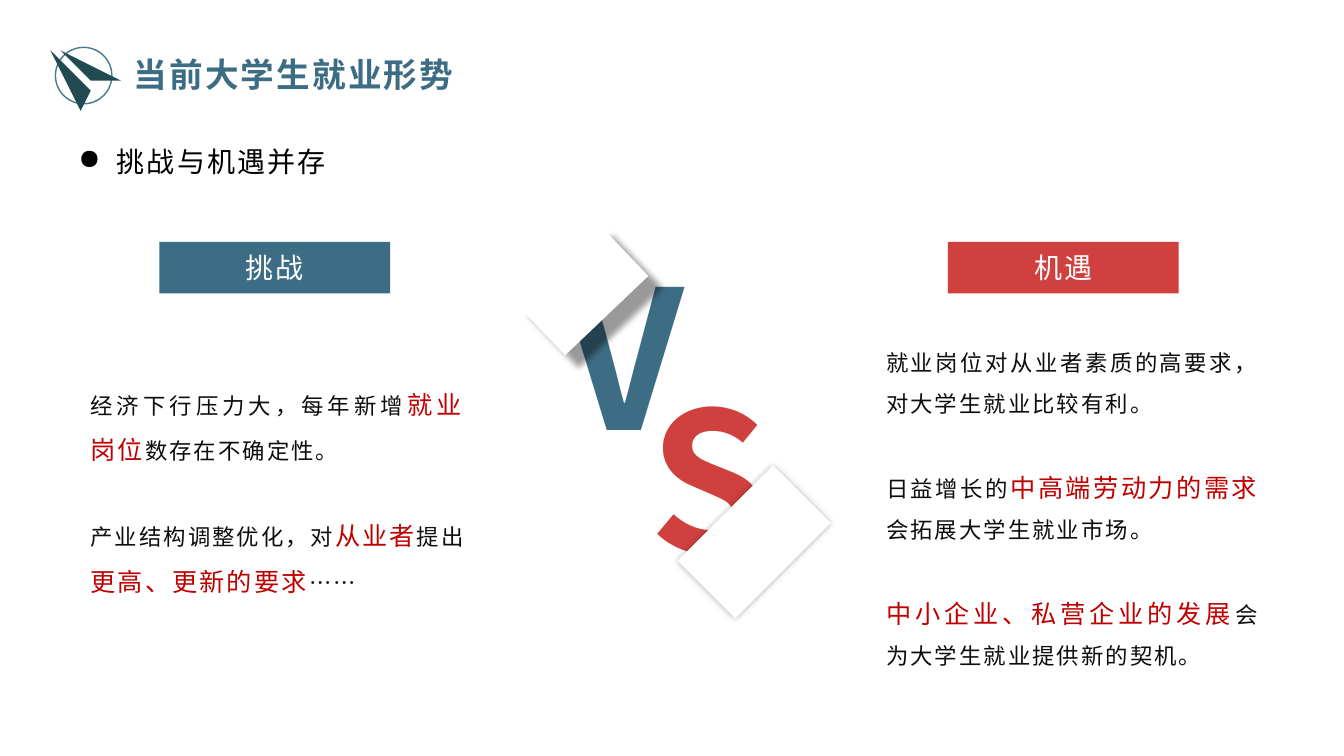
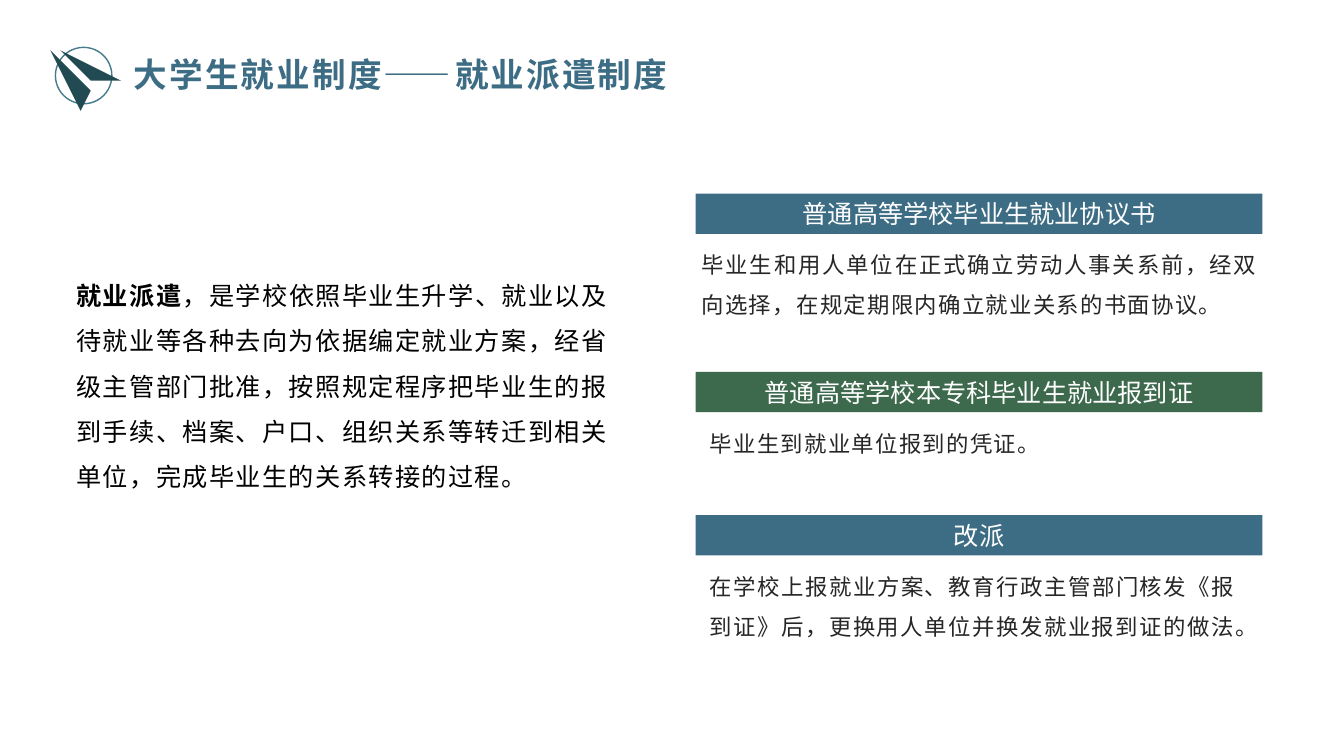
"""Build two slides on graduate employment: the current situation and the dispatch system."""
from dataclasses import dataclass
from typing import NamedTuple, Optional

from lxml import etree
from pptx import Presentation
from pptx import util as u
from pptx.dml.color import RGBColor
from pptx.enum import shapes, text
from pptx.oxml import ns

CELL = 0.1
FONT = "Noto Sans CJK SC"
BLUE, RED, GREEN, WHITE, BLACK = "3D6D84", "CF403E", "3D694D", "FFFFFF", "000000"
RING, PLANE, BODY, DETAIL, ACCENT = "467A8C", "224A52", "0D0D0D", "262626", "C00000"
PLANE_WINGS = (
    ((11.6, 7.6), (9.4, 8.5), (5.5, 4.6)),
    ((9.3, 8.7), (8.1, 11), (5.4, 4.7)),
)
LEFT, CENTER, JUSTIFY = text.PP_ALIGN.LEFT, text.PP_ALIGN.CENTER, text.PP_ALIGN.JUSTIFY
TOP, MIDDLE = text.MSO_ANCHOR.TOP, text.MSO_ANCHOR.MIDDLE


class Place(NamedTuple):
    """A rectangle in grid columns and rows."""
    column: float
    row: float
    columns: float
    rows: float

    def lengths(self) -> tuple:
        return tuple(u.Inches(cells * CELL) for cells in self)


class Span(NamedTuple):
    """A stretch of text in one format."""
    words: str
    size: int
    color: str
    bold: bool = False


@dataclass(frozen=True)
class Style:
    """Paragraph settings shared by a whole text."""
    align: int = LEFT
    anchor: int = TOP
    leading: float = 1.0
    tracking: float = 0
    gap: float = 0
    bullet: str = ""
    wrap: bool = True


@dataclass(frozen=True)
class Shadow:
    """An outer shadow in percent, points and degrees."""
    opacity: int
    blur: float
    distance: float
    angle: int


@dataclass(frozen=True)
class Side:
    """One side of the comparison."""
    heading: str
    fill: str
    band_column: float
    body: Place
    paragraphs: tuple


@dataclass(frozen=True)
class Document:
    """A document of the dispatch system with its explanation."""
    heading: str
    fill: str
    row: float
    detail_column: float
    detail_columns: float
    detail: str


@dataclass(frozen=True)
class Letter:
    """A large letter with the white flap that cuts it."""
    word: str
    color: str
    place: Place
    flap: Place
    rotation: float
    shadow: Shadow


def plain(words: str) -> Span:
    return Span(words, 16, BODY)


def strong(words: str) -> Span:
    return Span(words, 18, ACCENT)


SIDES = (
    Side("挑战", BLUE, 15.8, Place(8, 29.3, 39, 37.7), (
        (plain("经济下行压力大，每年新增"), strong("就业岗位"), plain("数存在不确定性。")),
        (plain("产业结构调整优化，对"), strong("从业者"), plain("提出"),
         strong("更高、更新的要求"), plain("……")),
    )),
    Side("机遇", RED, 94, Place(86.9, 32.5, 39, 34.7), (
        (plain("就业岗位对从业者素质的高要求，对大学生就业比较有利。"),),
        (plain("日益增长的"), strong("中高端劳动力的需求"), plain("会拓展大学生就业市场。")),
        (strong("中小企业、私营企业的发展"), plain("会为大学生就业提供新的契机。")),
    )),
)
LETTERS = (
    Letter("V", BLUE, Place(55, 23.1, 12.9, 24.2), Place(52, 25.1, 11.4, 7.2), 316.4,
           Shadow(40, 5, 13, 41)),
    Letter("S", RED, Place(63.4, 35.2, 17.5, 24.2), Place(68.1, 49.7, 13.4, 8.1), 135,
           Shadow(30, 5, 0, 220)),
)
DOCUMENTS = (
    Document("普通高等学校毕业生就业协议书", BLUE, 19.2, 68.6, 57.2,
             "毕业生和用人单位在正式确立劳动人事关系前，经双向选择，在规定期限内确立就业关系的书面协议。"),
    Document("普通高等学校本专科毕业生就业报到证", GREEN, 36.9, 69.4, 54.2,
             "毕业生到就业单位报到的凭证。"),
    Document("改派", BLUE, 51.1, 69.4, 54.2,
             "在学校上报就业方案、教育行政主管部门核发《报到证》后，更换用人单位并换发就业报到证的做法。"),
)


def rgb(code: str) -> RGBColor:
    return RGBColor.from_string(code)


def write(shape, paragraphs: tuple, style: Style) -> None:
    """Fill a shape with paragraphs of formatted spans."""
    frame = shape.text_frame
    frame.word_wrap = style.wrap
    frame.vertical_anchor = style.anchor
    for index, spans in enumerate(paragraphs):
        paragraph = frame.add_paragraph() if index else frame.paragraphs[0]
        paragraph.alignment = style.align
        paragraph.line_spacing = style.leading
        if index:
            paragraph.space_before = u.Pt(style.gap)
        if style.bullet:
            properties = paragraph._p.get_or_add_pPr()
            properties.set("marL", str(u.Inches(0.38)))
            properties.set("indent", str(u.Inches(-0.38)))
            etree.SubElement(properties, ns.qn("a:buChar"), char=style.bullet)
        for span in spans:
            run = paragraph.add_run()
            run.text = span.words
            run.font.size = u.Pt(span.size)
            run.font.bold = span.bold
            run.font.color.rgb = rgb(span.color)
            run.font.name = FONT
            properties = run._r.get_or_add_rPr()
            properties.set("spc", str(round(style.tracking * 100)))
            etree.SubElement(properties, ns.qn("a:ea"), typeface=FONT)


def add_text(parent, place: Place, paragraphs: tuple, style: Style) -> None:
    write(parent.shapes.add_textbox(*place.lengths()), paragraphs, style)


def add_block(parent, place: Place, fill: str):
    """Add a borderless filled rectangle."""
    block = parent.shapes.add_shape(shapes.MSO_SHAPE.RECTANGLE, *place.lengths())
    block.shadow.inherit = False
    block.fill.solid()
    block.fill.fore_color.rgb = rgb(fill)
    block.line.fill.background()
    return block


def add_band(slide, place: Place, fill: str, heading: Span, tracking: float = 0) -> None:
    """Add a coloured band with a centred heading."""
    write(add_block(slide, place, fill), ((heading,),),
          Style(align=CENTER, anchor=MIDDLE, tracking=tracking))


def cast(shape, shadow: Shadow) -> None:
    """Give a shape an outer shadow that ignores its rotation."""
    effects = shape._element.spPr.find(ns.qn("a:effectLst"))
    outer = etree.SubElement(effects, ns.qn("a:outerShdw"), blurRad=str(u.Pt(shadow.blur)),
                             dist=str(u.Pt(shadow.distance)), dir=str(shadow.angle * 60000),
                             algn="ctr", rotWithShape="0")
    color = etree.SubElement(outer, ns.qn("a:srgbClr"), val=BLACK)
    etree.SubElement(color, ns.qn("a:alpha"), val=str(shadow.opacity * 1000))


def add_plane(slide) -> None:
    """Draw the paper plane in its ring."""
    emblem = slide.shapes.add_group_shape()
    ring = emblem.shapes.add_shape(shapes.MSO_SHAPE.OVAL, *Place(5.5, 4.7, 5.6, 5.6).lengths())
    ring.shadow.inherit = False
    ring.fill.background()
    ring.line.color.rgb = rgb(RING)
    ring.line.width = u.Pt(1)
    first, second = PLANE_WINGS
    outline = emblem.shapes.build_freeform(*first[0], scale=float(u.Inches(CELL)))
    outline.add_line_segments(first[1:], close=True)
    outline.move_to(*second[0])
    outline.add_line_segments(second[1:], close=True)
    plane = outline.convert_to_shape()
    plane.shadow.inherit = False
    plane.fill.solid()
    plane.fill.fore_color.rgb = rgb(PLANE)
    plane.line.fill.background()


def add_titled_slide(deck, title: str):
    """Start a blank slide with the shared title and plane."""
    slide = deck.slides.add_slide(deck.slide_layouts[6])
    add_text(slide, Place(12.3, 4.9, 66.7, 5), ((Span(title, 24, BLUE, True),),),
             Style(tracking=1.5))
    add_plane(slide)
    return slide


def build_situation(deck) -> None:
    """Build the slide that sets challenges against opportunities."""
    slide = add_titled_slide(deck, "当前大学生就业形势")
    add_text(slide, Place(6.8, 13.8, 28.8, 4.4), ((Span("挑战与机遇并存", 20, BLACK),),),
             Style(tracking=1.5, bullet="●"))
    versus = slide.shapes.add_group_shape()
    for letter in LETTERS:
        add_text(versus, letter.place, ((Span(letter.word, 138, letter.color, True),),),
                 Style(wrap=letter.word != "V"))
    for letter in LETTERS:
        flap = add_block(versus, letter.flap, WHITE)
        flap.rotation = letter.rotation
        cast(flap, letter.shadow)
    for side in SIDES:
        add_band(slide, Place(side.band_column, 24, 22.9, 5.1), side.fill,
                 Span(side.heading, 20, WHITE), 1.3)
        add_text(slide, side.body, side.paragraphs,
                 Style(JUSTIFY, MIDDLE, leading=1.5, tracking=1.5, gap=29))


def build_dispatch(deck) -> None:
    """Build the slide that explains the dispatch system."""
    slide = add_titled_slide(deck, "大学生就业制度——就业派遣制度")
    definition = (
        Span("就业派遣", 18, BLACK, True),
        Span("，是学校依照毕业生升学、就业以及待就业等各种去向为依据编定就业方案，"
             "经省级主管部门批准，按照规定程序把毕业生的报到手续、档案、户口、"
             "组织关系等转迁到相关单位，完成毕业生的关系转接的过程。", 18, BLACK),
    )
    add_text(slide, Place(6.6, 25.8, 56.6, 23.7), (definition,), Style(leading=1.5, tracking=1))
    for document in DOCUMENTS:
        add_band(slide, Place(69, document.row, 56.2, 4), document.fill,
                 Span(document.heading, 18, WHITE))
        add_text(slide, Place(document.detail_column, document.row + 3.9,
                              document.detail_columns, 9.1),
                 ((Span(document.detail, 16, DETAIL),),),
                 Style(JUSTIFY, leading=1.5, tracking=1))


def main() -> None:
    """Build and save the presentation."""
    deck = Presentation()
    deck.slide_width, deck.slide_height = u.Inches(13.33), u.Inches(7.5)
    build_situation(deck)
    build_dispatch(deck)
    deck.save("out.pptx")


if __name__ == "__main__":
    main()
